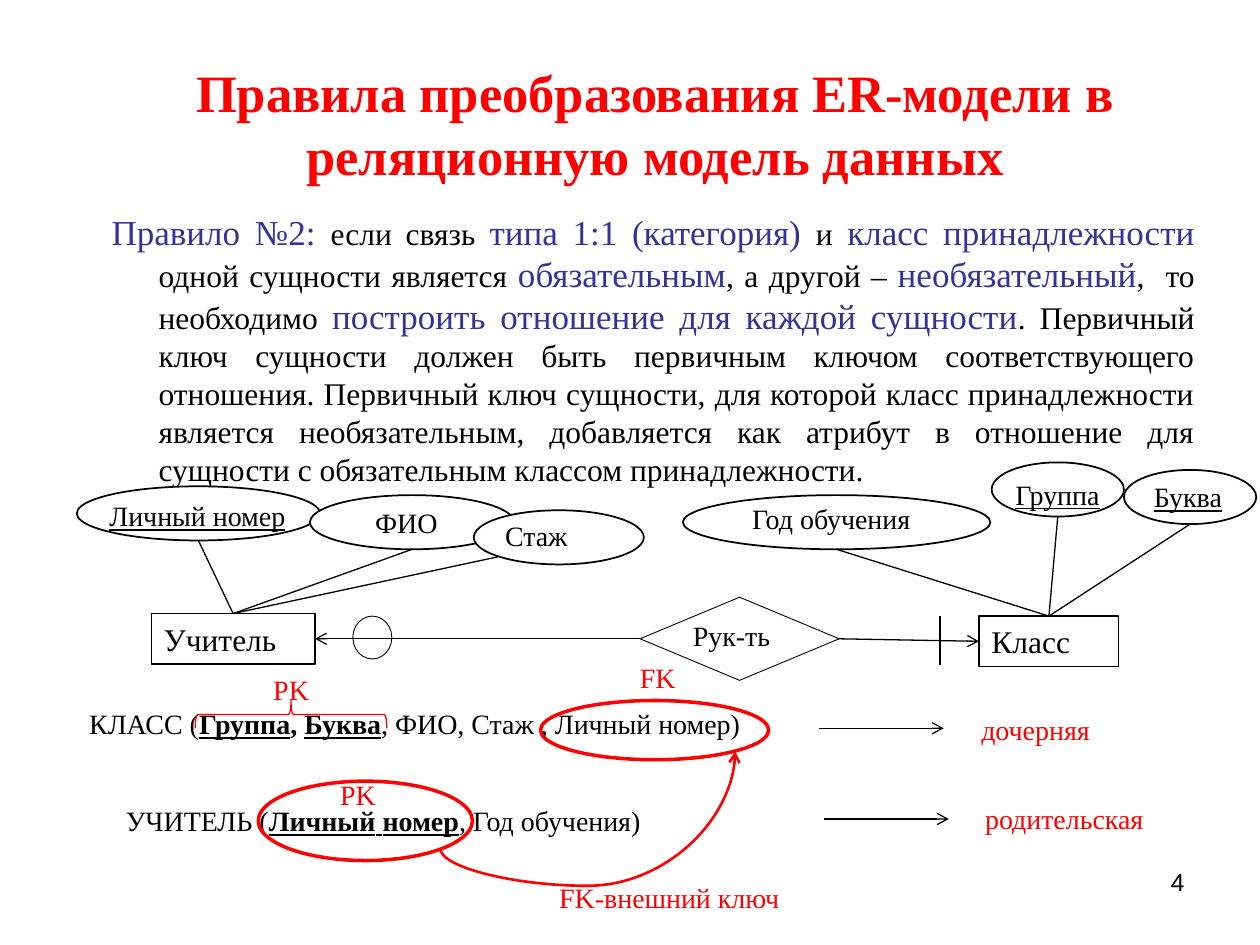
from lxml.etree import SubElement
from pptx import Presentation
from pptx.dml.color import RGBColor
from pptx.enum.shapes import MSO_CONNECTOR, MSO_SHAPE
from pptx.enum.text import MSO_ANCHOR, PP_ALIGN
from pptx.oxml.ns import qn
from pptx.util import Inches, Pt

SERIF, BLACK, RED, BLUE = "Times New Roman", "000000", "FF0000", "333399"
LEFT, CENTER, JUSTIFY = PP_ALIGN.LEFT, PP_ALIGN.CENTER, PP_ALIGN.JUSTIFY
OVAL_H, LABEL_H, BOX_H = 0.43, 0.37, 0.4

TITLE = "Правила преобразования ER-модели в реляционную модель данных"
# Highlighted and plain pieces of the rule alternate
RULE = [
    " Правило №2: ", "если связь ", "типа 1:1 (категория) ", "и",
    " класс принадлежности ", "одной сущности является ", "обязательным",
    ", а другой – ", "необязательный", ",  то необходимо ",
    "построить отношение для каждой сущности",
    ". Первичный ключ сущности должен быть первичным ключом соответствующего "
    "отношения. Первичный ключ сущности, для которой класс принадлежности "
    "является необязательным, добавляется как атрибут в отношение для сущности "
    "с обязательным классом принадлежности.",
]

# Entity: name, (left, top, width)
ENTITIES = {"Учитель": (1.2, 4.87, 1.3), "Класс": (7.77, 4.89, 1.11)}
# Attribute: entity, name, key?, oval (left, top, width), label (left, top, width), align
ATTRIBUTES = [
    ("Учитель", "Личный номер", True, (0.61, 3.86, 1.93), (0.77, 3.91, 1.77), LEFT),
    ("Учитель", "ФИО", False, (2.46, 3.93, 1.62), (2.56, 3.96, 1.33), CENTER),
    ("Учитель", "Стаж", False, (3.76, 4.05, 1.35), (3.91, 4.07, 1.18), LEFT),
    ("Класс", "Группа", True, (7.87, 3.67, 1.05), (7.96, 3.74, 0.88), LEFT),
    ("Класс", "Буква", True, (8.92, 3.73, 1.05), (9.06, 3.76, 0.88), LEFT),
    ("Класс", "Год обучения", False, (5.42, 3.93, 2.44), (5.87, 3.93, 1.82), LEFT),
]
SIDE_EXIT = {"Стаж": (3.95, 4.42)}

# Relations: left, top, width, pieces (text, bold, underline)
RELATIONS = [
    (0.61, 5.56, 8.77, [("КЛАСС (", 0, 0), ("Группа", 1, 1), (", ", 1, 0),
                        ("Буква", 1, 1), (", ФИО, Стаж , Личный номер)", 0, 0)]),
    (0.9, 6.33, 4.36, [("УЧИТЕЛЬ (", 0, 0), ("Личный", 1, 1), (" ", 0, 1),
                       ("номер", 1, 1), (", Год обучения)", 0, 0)]),
]
RED_NOTES = [
    ("PK", 2.6, 6.12, 0.49), ("PK", 2.07, 5.29, 0.49), ("FK", 4.98, 5.19, 0.57),
    ("FK-внешний ключ ", 4.34, 6.94, 2.16),
    ("дочерняя", 7.69, 5.61, 2.16), ("родительская", 7.72, 6.31, 2.16),
]
KEY_RINGS = [(2.05, 6.2, 1.7, 0.63), (4.29, 5.56, 1.81, 0.47)]
ARROWS = [((6.65, 5.07), (7.77, 5.09)), ((5.08, 5.07), (2.5, 5.07)),
          ((6.5, 5.78), (7.49, 5.78)), ((6.54, 6.5), (7.53, 6.5))]

prs = Presentation()
prs.slide_width, prs.slide_height = Inches(10), Inches(7.5)
s = prs.slides.add_slide(prs.slide_layouts[5])


def rgb(value):
    """Turn a hex string into a colour."""
    return RGBColor.from_string(value)


def write(p, pieces, align=LEFT, font=SERIF):
    """Fill a paragraph with (text, size, colour, bold, underline) pieces."""
    p.alignment = align
    for text, size, color, bold, underline in pieces:
        r = p.add_run()
        r.text = text
        r.font.name, r.font.size = font, Pt(size)
        r.font.bold, r.font.underline = bool(bold), bool(underline)
        r.font.color.rgb = rgb(color)


def add_text(x, y, w, h, pieces, align=LEFT, font=SERIF):
    """Add a wrapping text box and return its paragraph."""
    tf = s.shapes.add_textbox(*map(Inches, (x, y, w, h))).text_frame
    tf.word_wrap = True
    write(tf.paragraphs[0], pieces, align, font)
    return tf.paragraphs[0]


def add_outline(kind, x, y, w, h, color=BLACK, weight=0.75, fill=None):
    """Add a preset shape with a plain outline."""
    sp = s.shapes.add_shape(kind, *map(Inches, (x, y, w, h)))
    sp.shadow.inherit = False
    if fill:
        sp.fill.solid()
        sp.fill.fore_color.rgb = rgb(fill)
    else:
        sp.fill.background()
    sp.line.color.rgb, sp.line.width = rgb(color), Pt(weight)
    return sp


def add_line(start, end, arrow=False, color=BLACK, weight=0.75,
             kind=MSO_CONNECTOR.STRAIGHT):
    """Add a connector, with an open arrowhead at its end if asked."""
    c = s.shapes.add_connector(kind, *map(Inches, (*start, *end)))
    c.line.color.rgb, c.line.width = rgb(color), Pt(weight)
    if arrow:
        SubElement(c.line._get_or_add_ln(), qn("a:tailEnd"), type="arrow")
    SubElement(c._element.spPr, qn("a:effectLst"))
    return c


# Title, rule and page number
title = s.shapes.title
title.left, title.top, title.width, title.height = map(Inches, (0.7, 0.55, 9, 0.85))
title.text_frame.vertical_anchor = MSO_ANCHOR.MIDDLE
write(title.text_frame.paragraphs[0], [(TITLE, 30, RED, 1, 0)], CENTER)

styles = [(20, BLUE), (18, BLACK)]
rule = add_text(0.67, 1.62, 8.91, 2.32,
                [(t, *styles[i % 2], 0, 0) for i, t in enumerate(RULE)], JUSTIFY)
pPr = rule._p.get_or_add_pPr()
pPr.set("marL", str(Inches(0.49)))
pPr.set("indent", str(Inches(-0.49)))
add_text(7.17, 6.83, 2.33, 0.52, [("4", 14, BLACK, 0, 0)], PP_ALIGN.RIGHT, "Arial")

# Entities and their attributes
for name, (x, y, w) in ENTITIES.items():
    tf = add_outline(MSO_SHAPE.RECTANGLE, x, y, w, BOX_H).text_frame
    tf.vertical_anchor = MSO_ANCHOR.TOP
    write(tf.paragraphs[0], [(name, 18, BLACK, 0, 0)])

for entity, name, key, (x, y, w), label, align in ATTRIBUTES:
    add_outline(MSO_SHAPE.OVAL, x, y, w, OVAL_H, weight=1, fill="FFFFFF")
    add_text(*label, LABEL_H, [(name, 16, BLACK, 0, key)], align)
    ex, ey, ew = ENTITIES[entity]
    add_line(SIDE_EXIT.get(name, (x + w / 2, y + OVAL_H)), (ex + ew / 2, ey))

# Relationship with its membership marks
add_outline(MSO_SHAPE.DIAMOND, 5.08, 4.74, 1.58, 0.66, weight=0.5)
add_text(5.4, 4.86, 1.05, LABEL_H, [("Рук-ть", 16, BLACK, 0, 0)])
add_outline(MSO_SHAPE.FLOWCHART_CONNECTOR, 2.8, 4.89, 0.31, 0.34, weight=0.5)
add_line((7.46, 4.89), (7.46, 5.28))
for start, end in ARROWS:
    add_line(start, end, arrow=True)

# Resulting relations and their keys
for x, y, w, pieces in RELATIONS:
    add_text(x, y, w, LABEL_H, [(t, 16, BLACK, b, u) for t, b, u in pieces])
for text, x, y, w in RED_NOTES:
    add_text(x, y, w, LABEL_H, [(text, 16, RED, 0, 0)])
for ring in KEY_RINGS:
    add_outline(MSO_SHAPE.OVAL, *ring, color=RED, weight=2)
add_outline(MSO_SHAPE.RIGHT_BRACE, 2.2, 4.91, 0.22, 1.52, color=RED).rotation = 270

# Foreign key link: a quarter-turned curve that bulges below both ends
link = add_line((4.28, 5.18), (5.05, 7.52), True, RED, 1.5, MSO_CONNECTOR.CURVE)
spPr = link._element.spPr
for key, value in (("rot", "5400000"), ("flipH", "1"), ("flipV", "1")):
    spPr.find(qn("a:xfrm")).set(key, value)
geom = spPr.find(qn("a:prstGeom"))
guides = geom.find(qn("a:avLst"))
if guides is None:
    guides = SubElement(geom, qn("a:avLst"))
SubElement(guides, qn("a:gd"), name="adj1", fmla="val -38400")

prs.save("out.pptx")
